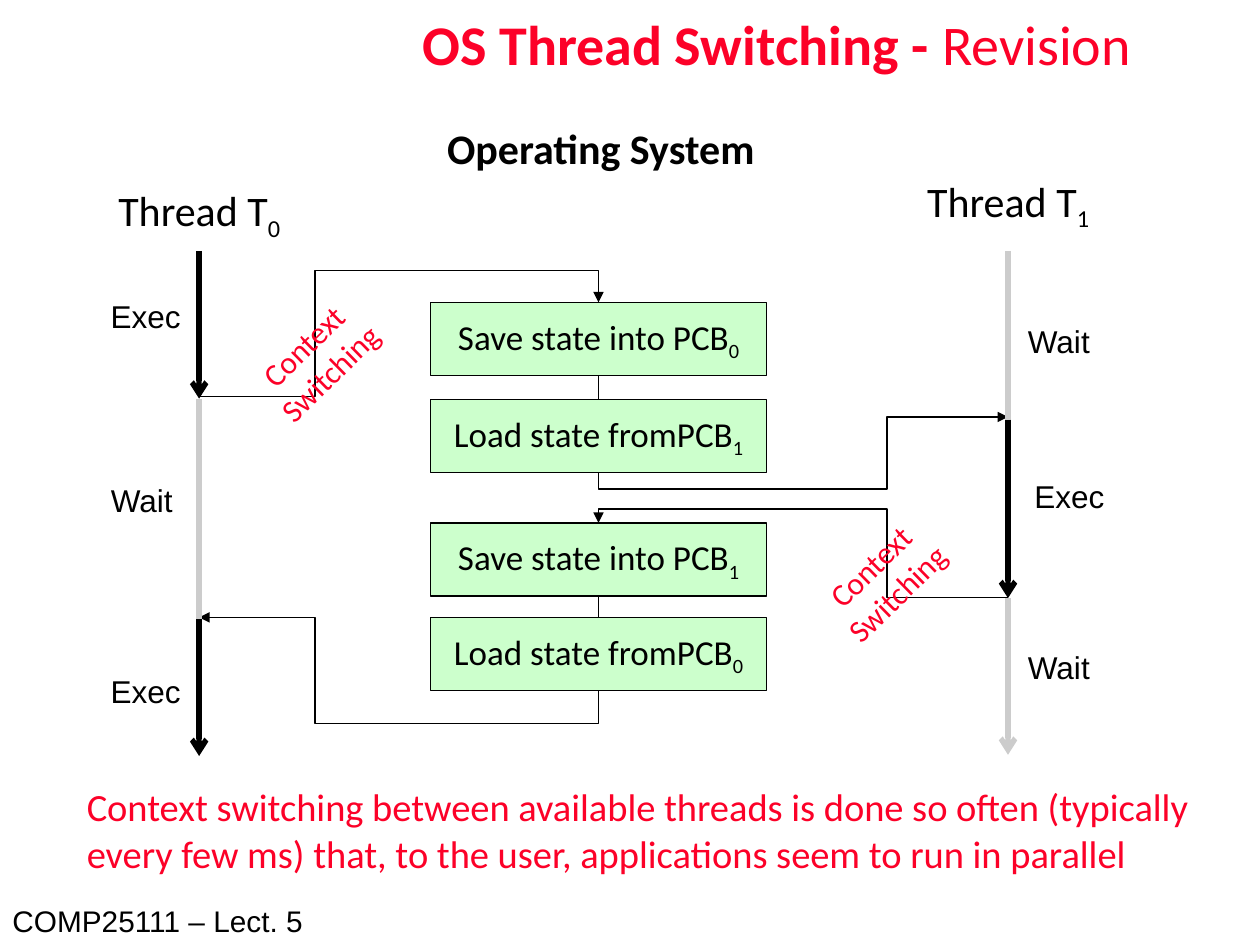
from pptx import Presentation
from pptx.dml.color import RGBColor
from pptx.enum import shapes, text
from pptx.oxml import ns
from pptx.util import Pt
from lxml import etree

COLORS = {"red": "FC0128", "black": "000000", "wait": "CCCCCC", "box": "CCFFCC"}
LEFT, CENTER = text.PP_ALIGN.LEFT, text.PP_ALIGN.CENTER


def rgb(name):
    return RGBColor.from_string(COLORS[name])


def write(tf, lines, size, font="Calibri", color="black", bold=False, align=LEFT):
    """Fill a text frame; a line is a string or a (base, subscript) pair."""
    for i, line in enumerate(lines):
        p = tf.paragraphs[0] if i == 0 else tf.add_paragraph()
        p.alignment = align
        p.font.size, p.font.name, p.font.bold = Pt(size), font, bold
        p.font.color.rgb = rgb(color)
        base, sub = (line, "") if isinstance(line, str) else line
        p.add_run().text = base
        if sub:
            r = p.add_run()
            r.text = sub
            r.font._element.set("baseline", "-25000")


def label(s, box, lines, size, **style):
    sp = s.shapes.add_textbox(*map(Pt, box))
    sp.text_frame.word_wrap = False
    sp.text_frame.auto_size = text.MSO_AUTO_SIZE.SHAPE_TO_FIT_TEXT
    write(sp.text_frame, lines, size, **style)
    return sp


def style_line(sp, color, width, head=None):
    sp.line.color.rgb = rgb(color)
    sp.line.width = Pt(width)
    if head:
        ln = sp.line._get_or_add_ln()
        etree.SubElement(ln, ns.qn("a:tailEnd"), type=head)


def line(s, x, y1, y2, color, width, head=None):
    sp = s.shapes.add_connector(shapes.MSO_CONNECTOR.STRAIGHT, Pt(x), Pt(y1), Pt(x), Pt(y2))
    style_line(sp, color, width, head)
    etree.SubElement(sp._element.spPr, ns.qn("a:effectLst"))


def route(s, points):
    """Draw a bent arrow through the points."""
    start, *rest = [(Pt(x), Pt(y)) for x, y in points]
    builder = s.shapes.build_freeform(*start)
    builder.add_line_segments(rest, close=False)
    sp = builder.convert_to_shape()
    sp.shadow.inherit = False
    sp.fill.background()
    style_line(sp, "black", 0.75, "triangle")


def title(s, box):
    sp = s.shapes.title
    sp.left, sp.top, sp.width, sp.height = map(Pt, box)
    tf = sp.text_frame
    tf.vertical_anchor = text.MSO_ANCHOR.MIDDLE
    write(tf, ["OS Thread Switching - "], 32, color="red", bold=True, align=CENTER)
    p = tf.paragraphs[0]
    p.line_spacing = 0.9
    r = p.add_run()
    r.text = "Revision"
    r.font.bold = False


def thread(s, box, number, name_rise, cuts, states):
    """A timeline down the left edge of the box, cut where the state changes."""
    x, y, _, h = box
    label(s, (x - 53.3, y - name_rise, 107.3, 40.3), [("Thread T", number)], 24)
    ends = [y, *(y + cut for cut in cuts), y + h]
    for i, (state, dx, dy) in enumerate(states):
        running = state == "Exec"
        head = "arrow" if running or i == len(states) - 1 else None
        line(s, x, ends[i], ends[i + 1], "black" if running else "wait", 3, head)
        label(s, (x + dx, y + dy, 56 if running else 51, 28.8), [state], 18, font="Arial")


def switch(s, box, old, new, gap):
    """Save the old thread's state, then load the new one's."""
    x, y, w, h = box
    bh = 41.8
    steps = [("Save state into PCB", old), ("Load state fromPCB", new)]
    for step, top in zip(steps, (y, y + h - bh)):
        sp = s.shapes.add_shape(shapes.MSO_SHAPE.RECTANGLE, Pt(x), Pt(top), Pt(w), Pt(bh))
        sp.shadow.inherit = False
        sp.fill.solid()
        sp.fill.fore_color.rgb = rgb("box")
        style_line(sp, "black", 0.75)
        sp.text_frame.word_wrap = False
        sp.text_frame.vertical_anchor = text.MSO_ANCHOR.MIDDLE
        write(sp.text_frame, [step], 20, align=CENTER)
    line(s, x + w / 2, y + bh, y + bh + gap, "black", 0.75)


def context_label(s, box):
    sp = label(s, box, ["Context", "Switching"], 18, color="red", align=CENTER)
    sp.rotation = 315.6


def diagram(s, box):
    x, y, w, h = box
    mid, right = x + 228.2, x + w
    lane0, lane1 = x + 66.2, right - 69.1
    label(s, (x + 134.6, y - 77, 191.5, 36), ["Operating System"], 24, bold=True)

    switch(s, (mid - 96, y + 29.5, 192.2, 97.2), "0", "1", 13.6)
    switch(s, (mid - 96, y + 155.5, 192.2, 95.8), "1", "0", 12.2)

    out0, in1, out1, in0 = y + 83.5, y + 95, y + 198, y + 209.5
    route(s, [(x, out0), (lane0, out0), (lane0, y + 11.5), (mid, y + 11.5), (mid, y + 29.5)])
    route(s, [(mid, y + 126.7), (mid, y + 136.1), (lane1, y + 136.1), (lane1, in1), (right, in1)])
    route(s, [(right, out1), (lane1, out1), (lane1, y + 147.6), (mid, y + 147.6),
              (mid, y + 155.5)])
    route(s, [(mid, y + 251.3), (mid, y + 270), (lane0, y + 270), (lane0, in0), (x, in0)])

    thread(s, (x, y, 0, h), "0", 41.1, (84.5, 210.5),
           [("Exec", -57.6, 23), ("Wait", -57.6, 128.1), ("Exec", -57.6, 236.9)])
    thread(s, (right, y, 0, h - 0.7), "1", 46.8, (96.5, 198.5),
           [("Wait", 4.3, 37.4), ("Exec", 8, 126), ("Wait", 4.3, 223.2)])

    for dx, dy in ((24.4, 36.7), (348.4, 162.7)):
        context_label(s, (x + dx, y + dy, 85, 50.4))


def main():
    prs = Presentation()
    prs.slide_width, prs.slide_height = Pt(720), Pt(540)
    s = prs.slides.add_slide(prs.slide_layouts[5])
    title(s, (167.8, 0, 552.2, 54))
    diagram(s, (113.8, 143.3, 462.2, 288.7))
    label(s, (42.5, 444.2, 651.6, 60.5),
          ["Context switching between available threads is done so often (typically",
           "every few ms) that, to the user, applications seem to run in parallel"],
          22, color="red")
    footer = label(s, (0, 511.9, 182.9, 28.1), ["COMP25111 – Lect. 5"], 17, font="Arial")
    footer.text_frame.vertical_anchor = text.MSO_ANCHOR.MIDDLE
    prs.save("out.pptx")


if __name__ == "__main__":
    main()
